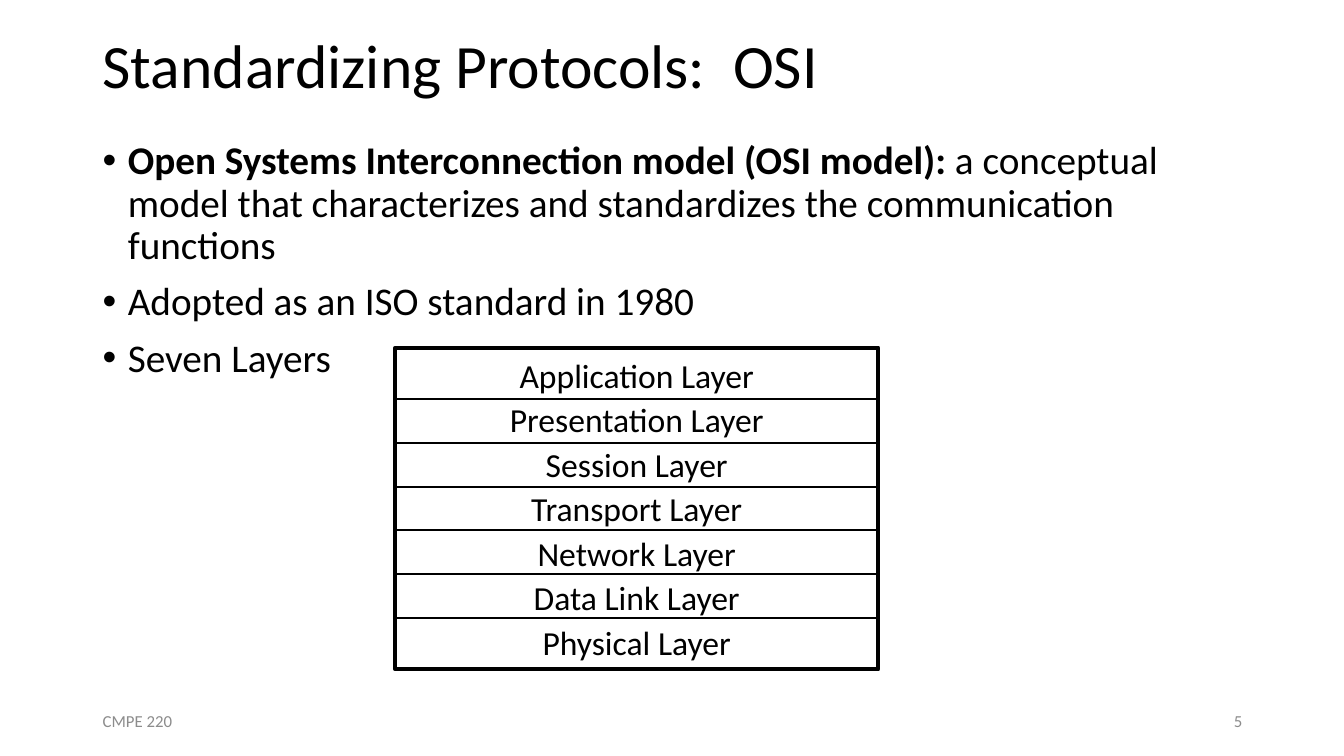
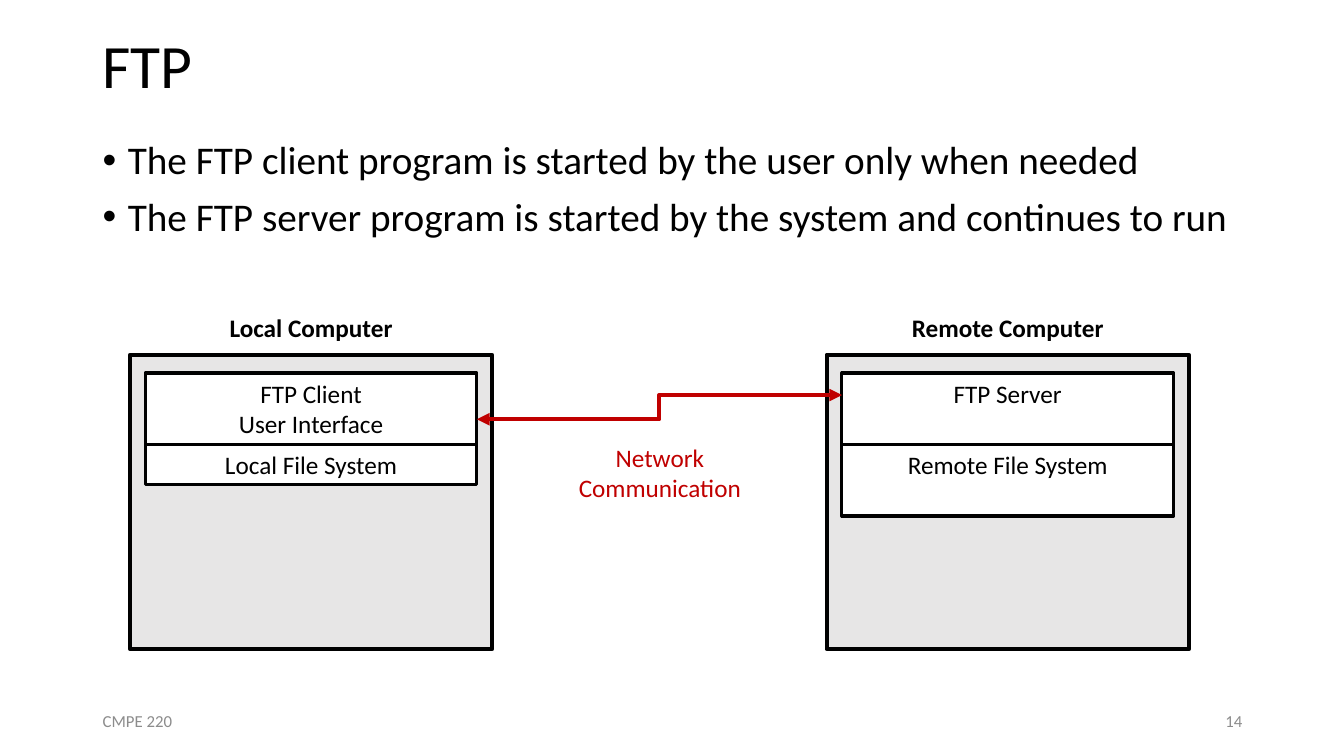
import pptx
import pptx.util
import pptx.dml.color
import pptx.enum.shapes
import pptx.enum.text
import pptx.oxml.ns
import lxml.etree

Inches = pptx.util.Inches
Pt = pptx.util.Pt
ALIGN = pptx.enum.text.PP_ALIGN
ANCHOR = pptx.enum.text.MSO_ANCHOR
CONNECTOR = pptx.enum.shapes.MSO_CONNECTOR
qn = pptx.oxml.ns.qn

COLORS = {"ink": "000000", "paper": "FFFFFF", "panel": "E7E6E6",
          "footer": "8C8C8C", "network": "C00000"}
TITLE = {"size": Pt(44)}
BODY = {"size": Pt(28)}
FOOTER = {"size": Pt(12)}
LAYER = {"size": Pt(24)}
LABEL = {"size": Pt(18)}
CENTER = {"alignment": ALIGN.CENTER}
LEFT, WIDTH = 0.92, 11.5


def rgb(name):
    return pptx.dml.color.RGBColor.from_string(COLORS[name])


def apply(obj, values):
    for key, value in values.items():
        setattr(obj, key, value)


def add_run(p, text, font, color="ink"):
    r = p.add_run()
    r.text = text
    apply(r.font, {"name": "Calibri", **font})
    r.font.color.rgb = rgb(color)


def fill_text(sp, lines, font, color="ink", para=CENTER, anchor=ANCHOR.TOP, wrap=True):
    tf = sp.text_frame
    apply(tf, {"word_wrap": wrap, "vertical_anchor": anchor})
    for i, line in enumerate(lines):
        p = tf.add_paragraph() if i else tf.paragraphs[0]
        apply(p, para)
        add_run(p, line, font, color)


def add_text(s, box, lines, font, **options):
    sp = s.shapes.add_textbox(*map(Inches, box))
    fill_text(sp, lines, font, **options)


def add_rect(s, box, weight, fill=None, lines=()):
    sp = s.shapes.add_shape(pptx.enum.shapes.MSO_SHAPE.RECTANGLE, *map(Inches, box))
    sp.shadow.inherit = False
    if fill:
        sp.fill.solid()
        sp.fill.fore_color.rgb = rgb(fill)
    else:
        sp.fill.background()
    sp.line.color.rgb = rgb("ink")
    sp.line.width = Pt(weight)
    fill_text(sp, lines, LABEL)


def add_line(s, kind, start, end, weight, color="ink", arrows=False):
    cx = s.shapes.add_connector(kind, *map(Inches, start + end))
    cx.line.color.rgb = rgb(color)
    cx.line.width = Pt(weight)
    if arrows:
        for tag in ("a:headEnd", "a:tailEnd"):
            lxml.etree.SubElement(cx.line._ln, qn(tag), type="triangle")
    lxml.etree.SubElement(cx._element.spPr, qn("a:effectLst"))


def add_bullets(s, items):
    tf = s.shapes.add_textbox(*map(Inches, (LEFT, 1.35, WIDTH, 5.28))).text_frame
    tf.word_wrap = True
    for i, parts in enumerate(items):
        p = tf.add_paragraph() if i else tf.paragraphs[0]
        pPr = p._p.get_or_add_pPr()
        apply_indent = {"marL": Inches(0.25), "indent": Inches(-0.25)}
        for key, value in apply_indent.items():
            pPr.set(key, str(value))
        lxml.etree.SubElement(pPr, qn("a:buFont"), typeface="Arial")
        lxml.etree.SubElement(pPr, qn("a:buChar"), char="•")
        apply(p, {"line_spacing": 0.9, "space_before": Pt(10 if i else 0)})
        for text, bold in parts:
            add_run(p, text, {**BODY, "bold": bold})


def add_slide(prs, title, number, bullets):
    s = prs.slides.add_slide(prs.slide_layouts[6])
    add_text(s, (LEFT, 0, WIDTH, 1.35), [title], TITLE,
             para={"line_spacing": 0.9}, anchor=ANCHOR.MIDDLE)
    add_bullets(s, bullets)
    for x, text, align in ((LEFT, "CMPE 220", ALIGN.LEFT),
                           (LEFT + WIDTH - 3, str(number), ALIGN.RIGHT)):
        add_text(s, (x, 6.95, 3, 0.4), [text], FOOTER, color="footer",
                 para={"alignment": align}, anchor=ANCHOR.MIDDLE)
    return s


def add_layer_stack(s, layers):
    x, y, w, h = 3.92, 3.45, 4.79, 3.19
    add_rect(s, (x, y, w, h), 3)
    add_text(s, (4.94, 3.47, 2.75, 3.18), layers, LAYER,
             para={**CENTER, "space_after": Pt(3)}, wrap=False)
    for i in range(len(layers) - 1):
        line_y = 3.96 + i * 0.434
        add_line(s, CONNECTOR.STRAIGHT, (x, line_y), (x + w, line_y), 1.5)


def add_computer(s, x, name, parts):
    w = 3.59
    add_rect(s, (x, 3.52, w, 2.92), 3, "panel")
    add_text(s, (x, 3.05, w, 0.4), [name], {**LABEL, "bold": True})
    y = 3.7
    for lines, h in parts:
        add_rect(s, (x + 0.15, y, w - 0.3, h), 2.25, "paper", lines)
        y += h


def main():
    prs = pptx.Presentation()
    apply(prs, {"slide_width": Inches(13.33), "slide_height": Inches(7.5)})

    s = add_slide(prs, "Standardizing Protocols:  OSI", 5, [
        [("Open Systems Interconnection model (OSI model): ", True),
         ("a conceptual model that characterizes and standardizes "
          "the communication functions", False)],
        [("Adopted as an ISO standard in 1980", False)],
        [("Seven Layers", False)],
    ])
    layers = ("Application", "Presentation", "Session", "Transport",
              "Network", "Data Link", "Physical")
    add_layer_stack(s, [f"{layer} Layer" for layer in layers])

    s = add_slide(prs, "FTP", 14, [
        [("The FTP client program is started by the user only when needed", False)],
        [("The FTP server program is started by the system and continues to run", False)],
    ])
    add_computer(s, 1.29, "Local Computer", [
        (["FTP Client", "User Interface"], 0.71), (["Local File System"], 0.4)])
    add_computer(s, 8.2, "Remote Computer", [
        (["FTP Server"], 0.71), (["Remote File System"], 0.71)])
    add_line(s, CONNECTOR.ELBOW, (4.73, 4.16), (8.35, 3.92), 3, "network", arrows=True)
    add_text(s, (5.63, 4.34, 1.83, 0.71), ["Network", "Communication"], LABEL,
             color="network", wrap=False)

    prs.save("out.pptx")


if __name__ == "__main__":
    main()
